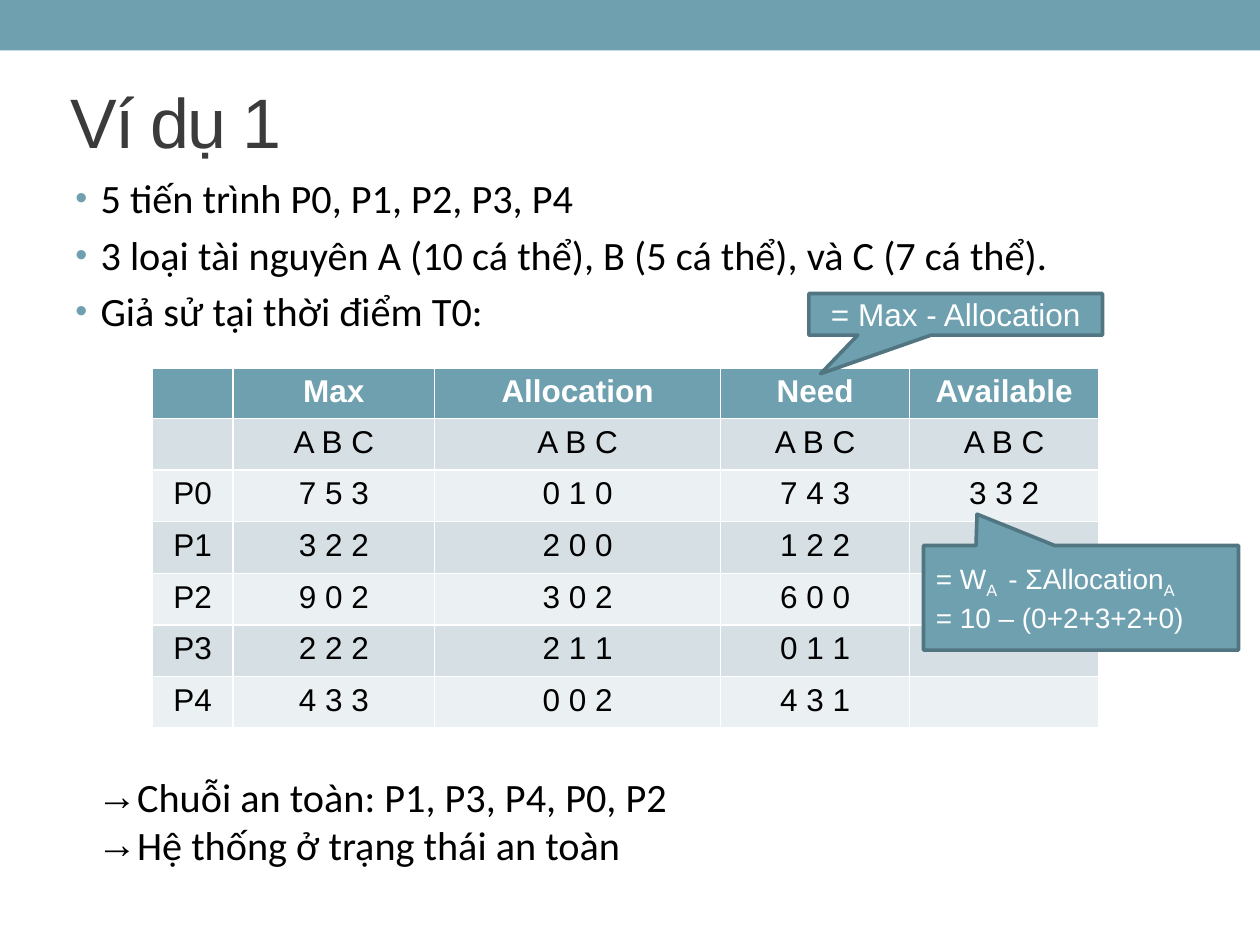
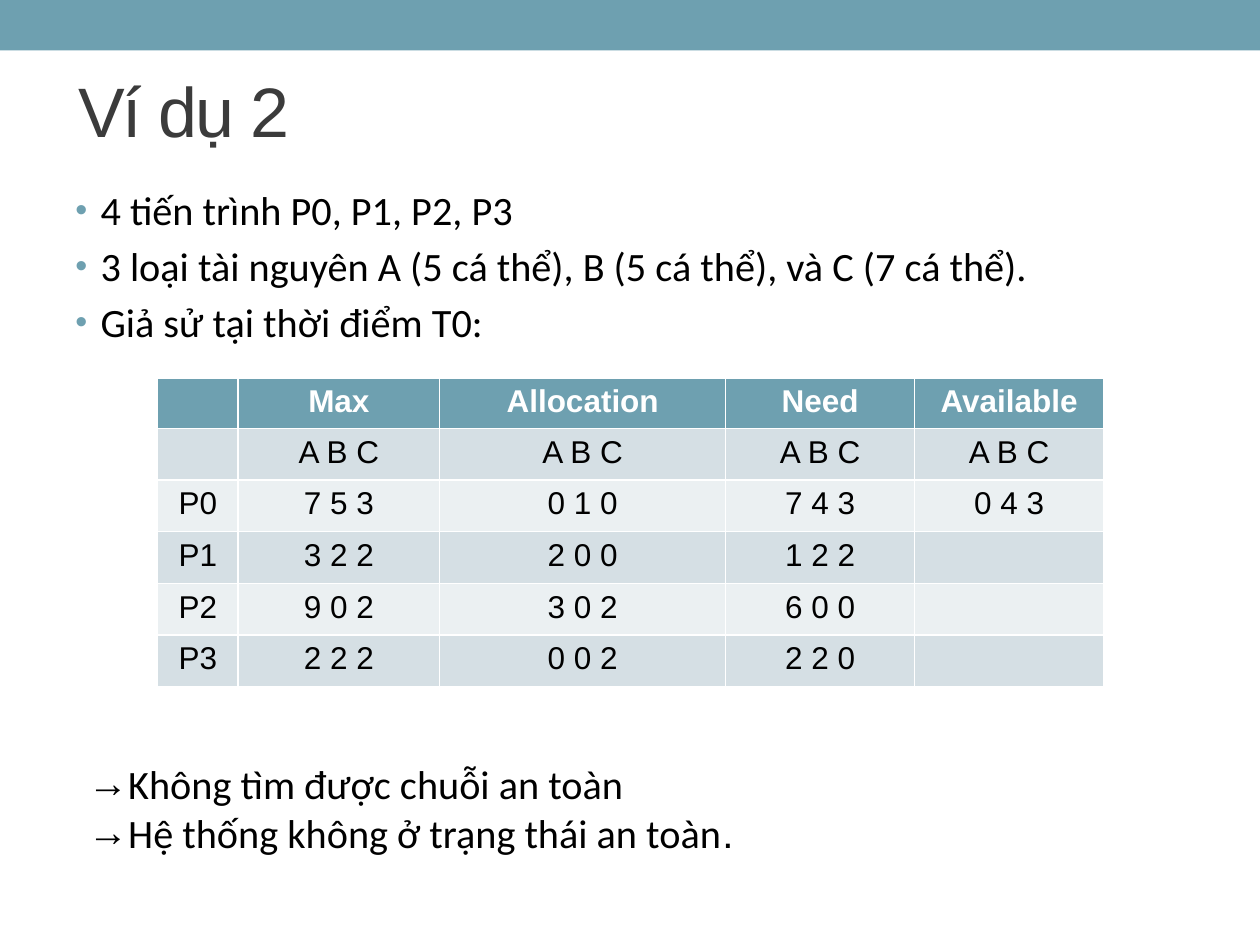
from lxml.etree import SubElement
from pptx import Presentation
from pptx.dml.color import RGBColor
from pptx.enum.shapes import MSO_SHAPE as Shape
from pptx.enum.text import MSO_ANCHOR as Anchor, PP_ALIGN as Align
from pptx.oxml.ns import qn
from pptx.util import Inches, Pt

TEAL, DARK_TEAL, TITLE_GREY = "6EA0B0", "517682", "3B3B3B"
WHITE, BLACK = "FFFFFF", "000000"
STRIPES = ("D5DFE4", "EBF0F2")

HEADINGS = ("", "Max", "Allocation", "Need", "Available")
RESOURCES = ("", "A B C", "A B C", "A B C", "A B C")
COLUMN_WIDTHS = (0.64, 1.6, 2.27, 1.5, 1.5)
HEADING_HEIGHT, ROW_HEIGHT = 0.37, 0.41

EXAMPLES = [
    {
        "title": ("Ví dụ 1", (0.46, 0.42, 9, 1.08)),
        "facts": (
            ["5 tiến trình P0, P1, P2, P3, P4",
             "3 loại tài nguyên A (10 cá thể), B (5 cá thể), và C (7 cá thể).",
             "Giả sử tại thời điểm T0:"],
            (0.5, 1.33, 9, 5.17)),
        "table_at": (1.21, 2.92),
        "processes": [
            ("P0", "7 5 3", "0 1 0", "7 4 3", "3 3 2"),
            ("P1", "3 2 2", "2 0 0", "1 2 2", ""),
            ("P2", "9 0 2", "3 0 2", "6 0 0", ""),
            ("P3", "2 2 2", "2 1 1", "0 1 1", ""),
            ("P4", "4 3 3", "0 0 2", "4 3 1", ""),
        ],
        "conclusions": (
            [["Chuỗi an toàn: P1, P3, P4, P0, P2"],
             ["Hệ thống ở trạng thái an toàn"]],
            (0.67, 6.08, 8.58, 0.88)),
        "callouts": [
            {"lines": [[("= W", 0), ("A ", -25), (" - ΣAllocation", 0), ("A", -25)],
                       [("= 10 – (0+2+3+2+0)", 0)]],
             "at": (7.33, 4.33, 2.5, 0.83), "tip": (-0.33, -0.8),
             "size": 16, "align": Align.LEFT},
            {"lines": [[("= Max - Allocation", 0)]],
             "at": (6.42, 2.33, 2.33, 0.33), "tip": (-0.46, 1.43),
             "size": 18, "align": Align.CENTER},
        ],
    },
    {
        "title": ("Ví dụ 2", (0.52, 0.33, 9, 1.08)),
        "facts": (
            ["4 tiến trình P0, P1, P2, P3",
             "3 loại tài nguyên A (5 cá thể), B (5 cá thể), và C (7 cá thể).",
             "Giả sử tại thời điểm T0:"],
            (0.5, 1.42, 9, 5.28)),
        "table_at": (1.25, 3),
        "processes": [
            ("P0", "7 5 3", "0 1 0", "7 4 3", "0 4 3"),
            ("P1", "3 2 2", "2 0 0", "1 2 2", ""),
            ("P2", "9 0 2", "3 0 2", "6 0 0", ""),
            ("P3", "2 2 2", "0 0 2", "2 2 0", ""),
        ],
        "conclusions": (
            [["Không tìm được chuỗi an toàn"],
             ["Hệ thống không ở trạng thái an toàn", "."]],
            (0.6, 5.98, 8.83, 0.88)),
        "callouts": [],
    },
]


def rgb(color):
    return RGBColor.from_string(color)


def inches(lengths):
    return [Inches(length) for length in lengths]


def paint(target, color):
    target.fill.solid()
    target.fill.fore_color.rgb = rgb(color)


def set_font(font, name, size, color, bold=False):
    font.name, font.size, font.bold = name, Pt(size), bold
    font.color.rgb = rgb(color)


def next_paragraph(frame, index):
    return frame.add_paragraph() if index else frame.paragraphs[0]


def set_bullet(para, symbol, indent, color=None, percent=None):
    props = para._p.get_or_add_pPr()
    props.set("marL", str(Inches(indent)))
    props.set("indent", str(-Inches(indent)))
    if color:
        SubElement(SubElement(props, qn("a:buClr")), qn("a:srgbClr")).set("val", color)
    if percent:
        SubElement(props, qn("a:buSzPct")).set("val", str(percent * 1000))
    SubElement(props, qn("a:buFont")).set("typeface", "Arial")
    SubElement(props, qn("a:buChar")).set("char", symbol)


def add_band(page, width):
    band = page.shapes.add_shape(Shape.RECTANGLE, 0, 0, width, Inches(0.4))
    band.shadow.inherit = False
    paint(band, TEAL)
    band.line.fill.background()


def set_title(page, text, place):
    title = page.shapes.title
    title.left, title.top, title.width, title.height = inches(place)
    frame = title.text_frame
    frame.text = text
    frame.vertical_anchor = Anchor.MIDDLE
    para = frame.paragraphs[0]
    para.alignment = Align.LEFT
    set_font(para.font, "Arial", 40, TITLE_GREY)
    para._p.pPr.find(qn("a:defRPr")).set("spc", "-100")


def add_text_frame(page, place):
    frame = page.shapes.add_textbox(*inches(place)).text_frame
    frame.word_wrap = True
    return frame


def add_facts(page, facts, place):
    frame = add_text_frame(page, place)
    for index, fact in enumerate(facts):
        para = next_paragraph(frame, index)
        para.text = fact
        para.space_before = Pt(4.6)
        set_bullet(para, "•", 0.2, TEAL, 85)
        set_font(para.font, "Calibri", 23, BLACK)


def add_conclusions(page, conclusions, place):
    frame = add_text_frame(page, place)
    for index, (sentence, *ending) in enumerate(conclusions):
        para = next_paragraph(frame, index)
        para.text = sentence
        set_bullet(para, "→", 0.31)
        set_font(para.font, "Calibri", 23, BLACK)
        for text in ending:
            span = para.add_run()
            span.text = text
            span.font.name = "Arial"


def add_allocation_table(page, processes, corner):
    rows = [HEADINGS, RESOURCES, *processes]
    heights = [HEADING_HEIGHT] + [ROW_HEIGHT] * (len(rows) - 1)
    size = (sum(COLUMN_WIDTHS), sum(heights))
    table = page.shapes.add_table(len(rows), len(HEADINGS), *inches(corner + size)).table
    for column, width in zip(table.columns, COLUMN_WIDTHS):
        column.width = Inches(width)
    for index, (row, texts) in enumerate(zip(table.rows, rows)):
        row.height = Inches(heights[index])
        heading = index == 0
        for cell, text in zip(row.cells, texts):
            paint(cell, TEAL if heading else STRIPES[(index - 1) % 2])
            cell.text = text
            para = cell.text_frame.paragraphs[0]
            para.alignment = Align.CENTER
            set_font(para.font, "Arial", 18, WHITE if heading else BLACK, heading)


def add_callout(page, lines, at, tip, size, align):
    callout = page.shapes.add_shape(Shape.RECTANGULAR_CALLOUT, *inches(at))
    callout.shadow.inherit = False
    callout.adjustments[0], callout.adjustments[1] = tip
    paint(callout, TEAL)
    callout.line.color.rgb = rgb(DARK_TEAL)
    callout.line.width = Pt(2.08)
    frame = callout.text_frame
    frame.vertical_anchor = Anchor.MIDDLE
    for index, spans in enumerate(lines):
        para = next_paragraph(frame, index)
        para.alignment = align
        set_font(para.font, "Arial", size, WHITE)
        for text, baseline in spans:
            span = para.add_run()
            span.text = text
            if baseline:
                span._r.get_or_add_rPr().set("baseline", str(baseline * 1000))


def main():
    deck = Presentation()
    deck.slide_width, deck.slide_height = Inches(10), Inches(7.5)
    for example in EXAMPLES:
        page = deck.slides.add_slide(deck.slide_layouts[5])
        add_band(page, deck.slide_width)
        set_title(page, *example["title"])
        add_facts(page, *example["facts"])
        add_allocation_table(page, example["processes"], example["table_at"])
        add_conclusions(page, *example["conclusions"])
        for callout in example["callouts"]:
            add_callout(page, **callout)
    deck.save("out.pptx")


if __name__ == "__main__":
    main()
